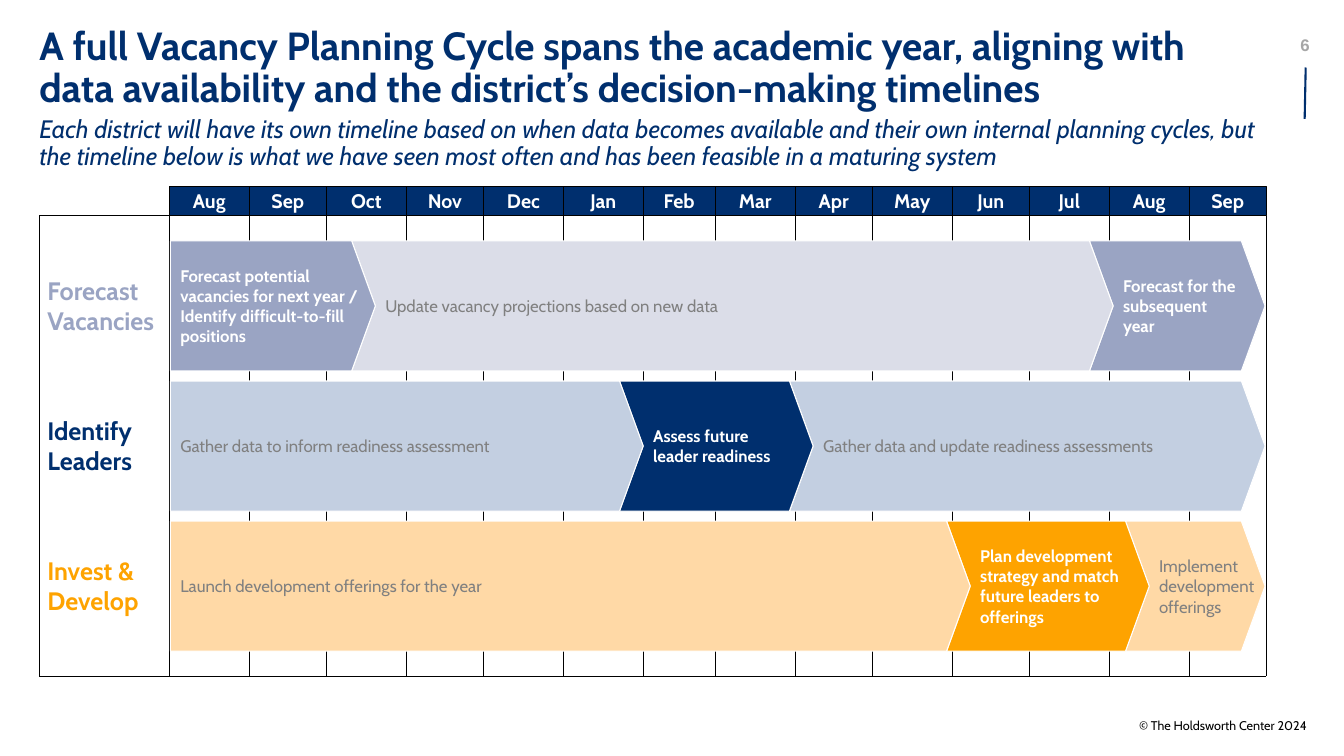
import itertools
import pptx
import pptx.util
import pptx.dml.color
import pptx.enum.shapes
import pptx.enum.text
import pptx.oxml

# Content
TITLE = ("A full Vacancy Planning Cycle spans the academic year, aligning with "
         "data availability and the district’s decision-making timelines")
LEAD = ("Each district will have its own timeline based on when data becomes available "
        "and their own internal planning cycles, but the timeline below is what we have "
        "seen most often and has been feasible in a maturing system")
CREDIT = "© The Holdsworth Center 2024"
PAGE = "6"

NAVY, SLATE, GOLD = "002F6E", "9AA4C3", "FEA300"
MIST, SKY, SAND = "DBDDE8", "C3CFE1", "FFD9A6"
WHITE, BLACK, GREY, PALE = "FFFFFF", "000000", "808080", "A6A6A6"

MONTHS = [("Aug", 31), ("Sep", 30), ("Oct", 31), ("Nov", 30), ("Dec", 31), ("Jan", 31),
          ("Feb", 28), ("Mar", 31), ("Apr", 30), ("May", 31), ("Jun", 30), ("Jul", 31),
          ("Aug", 31), ("Sep", 30)]

# Each row: label, colour, steps of (text, day of the tip, fill, strong, right inset)
ROWS = [
    ("Forecast\nVacancies", SLATE, [
        ("Forecast potential vacancies for next year / Identify difficult-to-fill positions",
         80, SLATE, True, 0.01),
        ("Update vacancy projections based on new data", 366.5, MIST, False, 0),
        ("Forecast for the subsequent year", 425.5, SLATE, True, 0)]),
    ("Identify\nLeaders", NAVY, [
        ("Gather data to inform readiness assessment", 184, SKY, False, 0),
        ("Assess future leader readiness", 250, NAVY, True, 0.09),
        ("Gather data and update readiness assessments", 425.5, SKY, False, 0)]),
    ("Invest &\nDevelop", GOLD, [
        ("Launch development offerings for the year", 311, SAND, False, 0),
        ("Plan development strategy and match future leaders to offerings",
         380.5, GOLD, True, 0.05),
        ("Implement\vdevelopment\vofferings", 425.5, SAND, False, 0)]),
]

# Grid
WIDE, HIGH = 13.33, 7.5
LEFT, START, END = 0.39, 1.68, 12.56
HEAD, TOP, BASE = 1.85, 2.14, 6.71
BAR, PITCH, FIRST = 1.29, 1.39, 2.39
NOTCH = 0.182
DAYS = [0, *itertools.accumulate(days for _, days in MONTHS)]

SHAPE = pptx.enum.shapes.MSO_SHAPE
ALIGN = pptx.enum.text.PP_ALIGN
MID = pptx.enum.text.MSO_ANCHOR.MIDDLE
UPPER = pptx.enum.text.MSO_ANCHOR.TOP
inch = pptx.util.Inches


def tint(code):
    return pptx.dml.color.RGBColor.from_string(code)


def day_x(day):
    return START + (END - START) * day / DAYS[-1]


def write(shape, text, size=12, color=BLACK, bold=False, italic=False, font="Cabin",
          align=ALIGN.LEFT, anchor=UPPER, inset=(0, 0, 0, 0), wrap=True, space=None):
    frame = shape.text_frame
    frame.auto_size = pptx.enum.text.MSO_AUTO_SIZE.NONE
    frame.word_wrap = wrap
    frame.vertical_anchor = anchor
    (frame.margin_left, frame.margin_top,
     frame.margin_right, frame.margin_bottom) = map(inch, inset)
    frame.text = text
    for para in frame.paragraphs:
        para.alignment = align
        para.line_spacing = space
        for run in para.runs:
            run.font.name, run.font.size = font, pptx.util.Pt(size)
            run.font.bold, run.font.italic = bold, italic
            run.font.color.rgb = tint(color)


def add_text(slide, box, text, **style):
    write(slide.shapes.add_textbox(*map(inch, box)), text, **style)


def add_block(slide, kind, box, fill, edge):
    shape = slide.shapes.add_shape(kind, *map(inch, box))
    shape.shadow.inherit = False
    shape.fill.solid()
    shape.fill.fore_color.rgb = tint(fill)
    shape.line.color.rgb = tint(edge)
    shape.line.width = pptx.util.Pt(0.75)
    return shape


def add_line(slide, ends, width, color=BLACK):
    line = slide.shapes.add_connector(pptx.enum.shapes.MSO_CONNECTOR.STRAIGHT,
                                      *map(inch, ends))
    line.line.color.rgb = tint(color)
    line.line.width = pptx.util.Pt(width)
    props = line._element.spPr
    props.append(pptx.oxml.parse_xml(
        '<a:effectLst xmlns:a="http://schemas.openxmlformats.org/drawingml/2006/main"/>'))


def add_heads(slide):
    title = slide.shapes.title
    title.left, title.top, title.width, title.height = map(
        inch, (LEFT, 0.26, END - LEFT, 0.38))
    write(title, TITLE, size=28, color=NAVY, bold=True, space=0.9)
    add_text(slide, (LEFT, 1.24, END - LEFT, 0.38), LEAD, size=18, color=NAVY,
             italic=True, anchor=MID, space=0.9)
    # Page mark and credit
    add_text(slide, (END, 0.29, WIDE - END, 0.3), PAGE, color=PALE, bold=True,
             font="Arial", align=ALIGN.CENTER, anchor=MID, inset=(0.1, 0.05, 0.1, 0.05))
    add_line(slide, (12.95, 0.67, 12.94, 1.18), 1.5, NAVY)
    add_text(slide, (11.29, 7.12, 1.67, 0.15), CREDIT, size=9,
             align=ALIGN.RIGHT, wrap=False)


def add_grid(slide):
    # Month heads, as wide as their days
    for (name, days), day in zip(MONTHS, DAYS):
        left = day_x(day)
        head = add_block(slide, SHAPE.RECTANGLE,
                         (left, HEAD, day_x(day + days) - left, TOP - HEAD), NAVY, BLACK)
        write(head, name, size=14, color=WHITE, bold=True, align=ALIGN.CENTER,
              anchor=MID, inset=(0, 0.03, 0, 0.03), wrap=False)
    # Month lines, then the frame
    for day in DAYS[1:-1]:
        add_line(slide, (day_x(day), TOP, day_x(day), BASE), 0.25)
    for x in (LEFT, START, END):
        add_line(slide, (x, TOP, x, BASE), 0.75)
    for y in (TOP, BASE):
        add_line(slide, (LEFT, y, END, y), 0.75)


def add_row(slide, top, label, color, steps):
    tips = [day_x(step[1]) for step in steps]
    lefts = [START + 0.01] + [tip - NOTCH * BAR for tip in tips[:-1]]
    kinds = [SHAPE.PENTAGON] + [SHAPE.CHEVRON] * (len(steps) - 1)
    # Last step first, so that each one lies over the next
    for step, kind, left, tip in reversed(list(zip(steps, kinds, lefts, tips))):
        text, _, fill, strong, right = step
        bar = add_block(slide, kind, (left, top, tip - left, BAR), fill, WHITE)
        bar.adjustments[0] = NOTCH
        write(bar, text, color=WHITE if strong else GREY, bold=strong, anchor=MID,
              inset=(0.1, 0.05, right, 0.05), wrap=strong)
    add_text(slide, (LEFT + 0.08, top + 0.34, 1.13, 0.6), label, size=18, color=color,
             bold=True, wrap=False)


def main():
    deck = pptx.Presentation()
    deck.slide_width, deck.slide_height = inch(WIDE), inch(HIGH)
    slide = deck.slides.add_slide(deck.slide_layouts[5])
    add_heads(slide)
    add_grid(slide)
    for index, row in enumerate(ROWS):
        add_row(slide, FIRST + index * PITCH, *row)
    deck.save("out.pptx")


if __name__ == "__main__":
    main()
